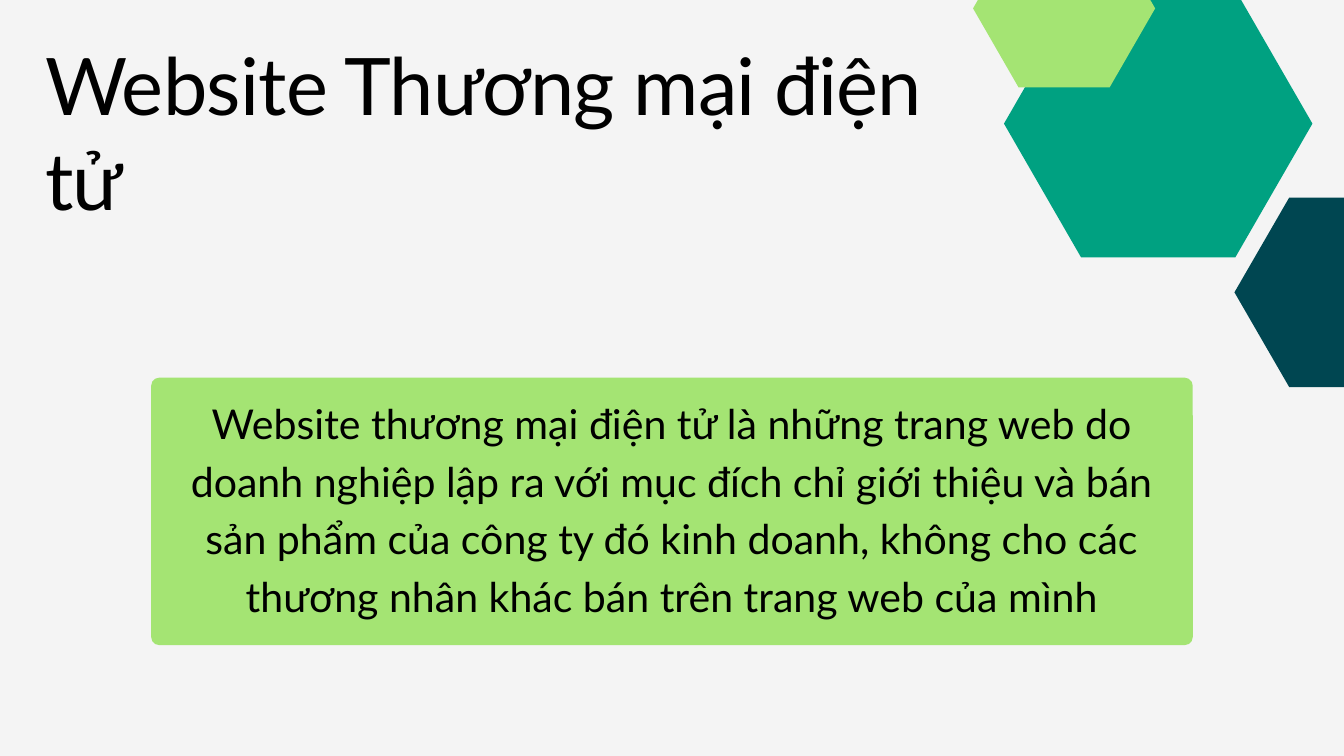
from pptx import Presentation
from pptx.dml.color import RGBColor
from pptx.enum import shapes, text
from pptx.util import Inches, Pt


def paint(fill, color):
    fill.solid()
    fill.fore_color.rgb = RGBColor.from_string(color)


def add_text(slide, words, box, size, leading, align, spacing=None):
    frame = slide.shapes.add_textbox(*map(Inches, box)).text_frame
    frame.word_wrap = True
    frame.auto_size = text.MSO_AUTO_SIZE.SHAPE_TO_FIT_TEXT
    frame.margin_left = frame.margin_right = Inches(0)
    frame.margin_top = frame.margin_bottom = Inches(0)
    paragraph = frame.paragraphs[0]
    paragraph.alignment = align
    paragraph.line_spacing = Pt(leading)
    run = paragraph.add_run()
    run.text = words
    run.font.size = Pt(size)
    run.font.name = "Lato"
    paint(run.font.fill, "000000")
    if spacing is not None:
        run._r.get_or_add_rPr().set("spc", str(spacing))


prs = Presentation()
prs.slide_width = Inches(20)
prs.slide_height = Inches(11.25)
slide = prs.slides.add_slide(prs.slide_layouts[6])
paint(slide.background.fill, "F4F4F4")

add_text(slide, "Website Thương mại điện tử", (0.67, 0.54, 13.81, 4.21),
         85, 102, text.PP_ALIGN.LEFT, -80)

hexagons = [
    (18.37, 2.94, 3.26, 2.82, "004651"),
    (14.94, -0.15, 4.59, 3.98, "00A181"),
    (14.48, -1.05, 2.71, 2.35, "A4E473"),
]
corners = [(1, 0.5), (0.75, 1), (0.25, 1), (0, 0.5), (0.25, 0), (0.75, 0)]
for left, top, width, height, color in hexagons:
    points = [(Inches(left + x * width), Inches(top + y * height)) for x, y in corners]
    outline = slide.shapes.build_freeform(*points[0])
    outline.add_line_segments(points[1:], close=True)
    hexagon = outline.convert_to_shape()
    hexagon.shadow.inherit = False
    paint(hexagon.fill, color)
    hexagon.line.fill.background()

panel = slide.shapes.add_shape(shapes.MSO_SHAPE.ROUNDED_RECTANGLE,
                               Inches(2.25), Inches(5.62), Inches(15.5), Inches(3.98))
panel.adjustments[0] = 0.03
panel.shadow.inherit = False
paint(panel.fill, "A4E473")
panel.line.fill.background()

definition = (
    "Website thương mại điện tử là những trang web do doanh nghiệp lập ra "
    "với mục đích chỉ giới thiệu và bán sản phẩm của công ty đó kinh doanh, "
    "không cho các thương nhân khác bán trên trang web của mình"
)
add_text(slide, definition, (2.53, 5.81, 14.94, 3.39), 44, 61.6, text.PP_ALIGN.CENTER)

prs.save("out.pptx")
